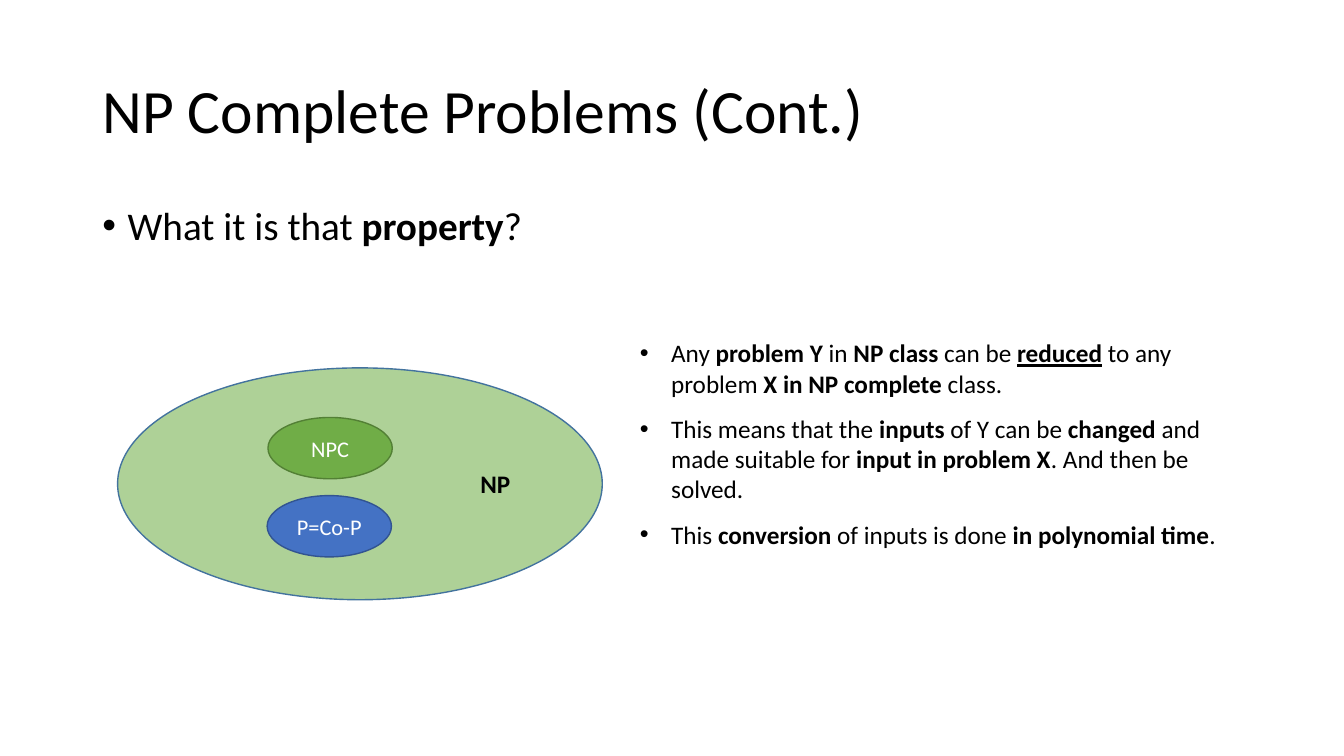
from dataclasses import dataclass

from lxml.etree import SubElement
from pptx import Presentation
from pptx.dml.color import RGBColor
from pptx.enum.shapes import MSO_SHAPE
from pptx.enum.text import MSO_ANCHOR, MSO_AUTO_SIZE, PP_ALIGN
from pptx.oxml.ns import qn
from pptx.util import Inches, Pt

TITLE = "NP Complete Problems (Cont.)"
QUESTION = "What it is that *property*?"
CLASSES = [
    {"label": "", "area": (14, 43.8, 57.7, 27.6), "fill": "70AD47", "line": "43739E", "alpha": 56},
    {"label": "NPC", "area": (31.9, 49.7, 14.8, 7.3), "fill": "70AD47", "line": "538035"},
    {"label": "P=Co-P", "area": (31.8, 59, 14.8, 7.3), "fill": "4472C4", "line": "325491"},
]
NP_LABEL = "*NP*"
NOTES = [
    (2, "Any *problem Y* in *NP class *can be *_reduced* to any problem *X in NP complete *class."),
    (3, "This means that the *inputs* of Y can be *changed* and made suitable for "
        "*input in problem X*. And then be solved."),
    (1, "This *conversion* of inputs is done *in polynomial time*."),
]

COLUMNS, ROWS = 160, 90
TITLE_AREA = (11, 4.8, 138, 17.4)
BODY_AREA = (11, 24, 138, 57.1)
NP_AREA = (56, 55.2, 6, 4.8)
NOTE_LEFT, NOTE_TOP, NOTE_WIDTH = 69, 39.6, 80
LINE_ROWS, PADDING_ROWS, GAP_ROWS = 3.6, 1.2, 0.6


@dataclass(frozen=True)
class Theme:
    font: str = "Calibri"
    text: str = "000000"
    inverse: str = "FFFFFF"
    title: int = 44
    body: int = 28
    note: int = 18
    label: int = 16


theme = Theme()
deck = Presentation()
deck.slide_width, deck.slide_height = Inches(13.333), Inches(7.5)
page = deck.slides.add_slide(deck.slide_layouts[1])


def place(area):
    left, top, width, height = area
    column, row = deck.slide_width / COLUMNS, deck.slide_height / ROWS
    return [round(value) for value in (left * column, top * row, width * column, height * row)]


def move(shape, area):
    shape.left, shape.top, shape.width, shape.height = place(area)


def write(shape, text, size, color=theme.text, align=PP_ALIGN.LEFT, anchor=MSO_ANCHOR.TOP,
          wrap=True, spacing=1.0, before=0, bullet=None):
    frame = shape.text_frame
    frame.word_wrap = wrap
    frame.auto_size = MSO_AUTO_SIZE.NONE
    frame.vertical_anchor = anchor
    para = frame.paragraphs[0]
    para.alignment, para.line_spacing, para.space_before = align, spacing, Pt(before)
    if bullet:
        indent, hanging = bullet
        properties = para._p.get_or_add_pPr()
        properties.set("marL", str(Inches(indent)))
        properties.set("indent", str(-Inches(hanging)))
        SubElement(properties, qn("a:buFont"), typeface="Arial")
        SubElement(properties, qn("a:buChar"), char="•")
    for index, part in enumerate(text.split("*")):
        if not part:
            continue
        span = para.add_run()
        span.text = part.lstrip("_")
        span.font.name, span.font.size = theme.font, Pt(size)
        span.font.bold = index % 2 == 1
        span.font.underline = part.startswith("_")
        span.font.color.rgb = RGBColor.from_string(color)


def draw_class(label, area, fill, line, alpha=None):
    oval = page.shapes.add_shape(MSO_SHAPE.OVAL, *place(area))
    oval.shadow.inherit = False
    oval.fill.solid()
    oval.fill.fore_color.rgb = RGBColor.from_string(fill)
    oval.line.color.rgb = RGBColor.from_string(line)
    oval.line.width = Pt(1)
    if alpha:
        color = oval._element.spPr.find(qn("a:solidFill"))[0]
        SubElement(color, qn("a:alpha"), val=str(alpha * 1000))
    if label:
        write(oval, label, theme.label, color=theme.inverse,
              align=PP_ALIGN.CENTER, anchor=MSO_ANCHOR.MIDDLE)


def add_text(area, text, **style):
    box = page.shapes.add_textbox(*place(area))
    write(box, text, theme.note, **style)


title, body = page.shapes.title, page.placeholders[1]
move(title, TITLE_AREA)
write(title, TITLE, theme.title, anchor=MSO_ANCHOR.MIDDLE, spacing=0.9)
move(body, BODY_AREA)
write(body, QUESTION, theme.body, spacing=0.9, before=10, bullet=(0.25, 0.25))

for problem_class in CLASSES:
    draw_class(**problem_class)
add_text(NP_AREA, NP_LABEL, wrap=False)

top = NOTE_TOP
for lines, note in NOTES:
    height = lines * LINE_ROWS + PADDING_ROWS
    add_text((NOTE_LEFT, top, NOTE_WIDTH, height), note, bullet=(0.81, 0.31))
    top += height + GAP_ROWS

deck.save("out.pptx")
